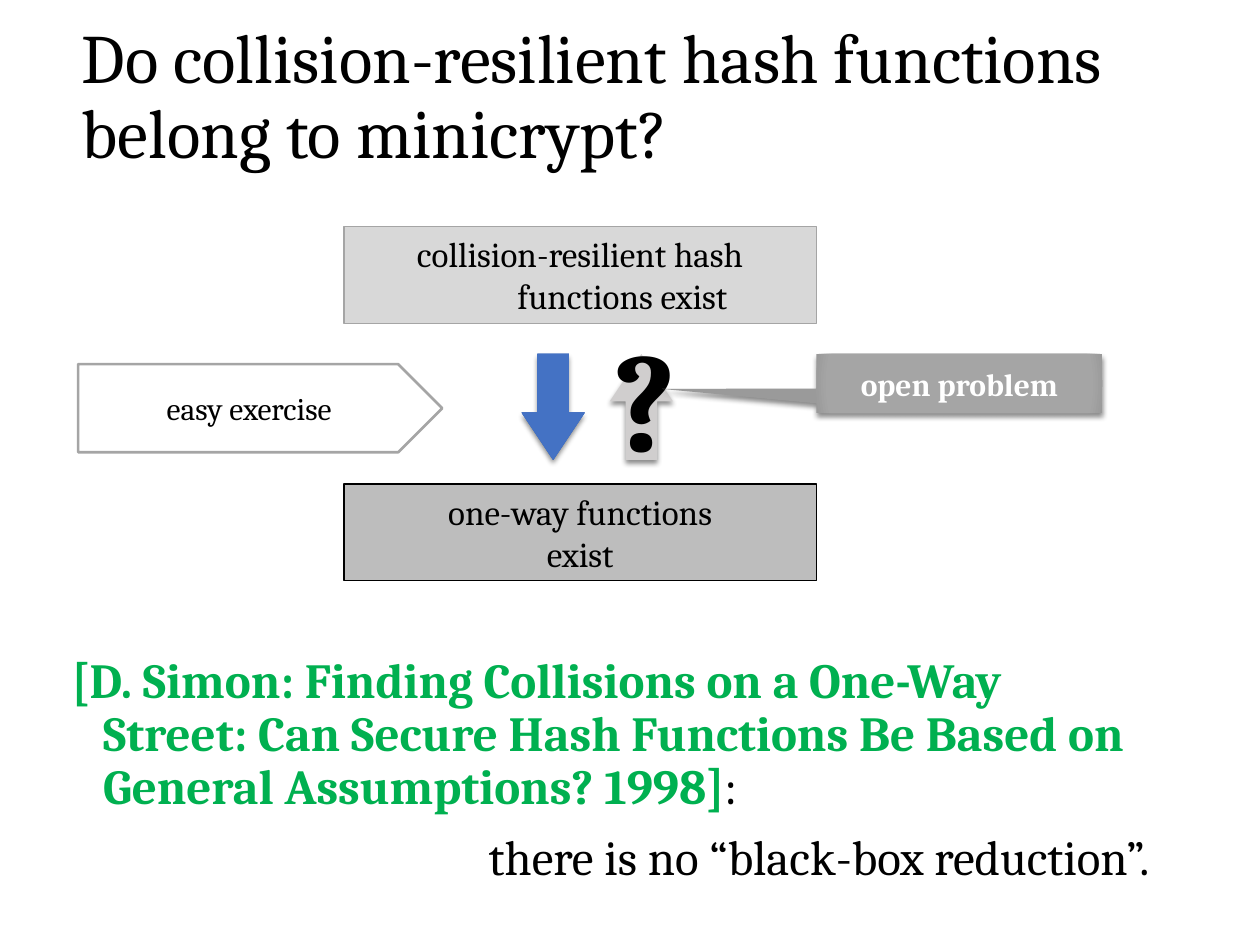
from lxml.etree import SubElement
from pptx import Presentation
from pptx.dml.color import RGBColor
from pptx.enum.shapes import MSO_SHAPE
from pptx.enum.text import MSO_ANCHOR, PP_ALIGN
from pptx.oxml import parse_xml
from pptx.oxml.ns import nsdecls, qn
from pptx.util import Inches, Pt

BLACK, WHITE, GRAY = "000000", "FFFFFF", "A5A5A5"
BLUE, GREEN = "4472C4", "00B050"


def color(value):
    return RGBColor.from_string(value)


class Deck:
    font = "Cambria"

    def __init__(self, width, height):
        self.prs = Presentation()
        self.prs.slide_width = Inches(width)
        self.prs.slide_height = Inches(height)
        self.s = self.prs.slides.add_slide(self.prs.slide_layouts[6])

    def label(self, sp, paragraphs, size, align=PP_ALIGN.CENTER, anchor=MSO_ANCHOR.TOP,
              hang=0, spacing=None, before=0):
        tf = sp.text_frame
        tf.word_wrap = True
        tf.vertical_anchor = anchor
        for i, runs in enumerate(paragraphs):
            p = tf.add_paragraph() if i else tf.paragraphs[0]
            p.alignment = align
            if spacing:
                p.line_spacing = spacing
            p.space_before = Pt(before if i else 0)
            if hang:
                pPr = p._p.get_or_add_pPr()
                pPr.set("marL", str(Inches(hang)))
                pPr.set("indent", str(-Inches(hang)))
            for text, ink, bold in runs:
                r = p.add_run()
                r.text = text
                r.font.name = self.font
                r.font.size = Pt(size)
                r.font.bold = bold
                r.font.color.rgb = color(ink)
        return tf

    def text(self, box, paragraphs, size, **style):
        sp = self.s.shapes.add_textbox(*map(Inches, box))
        return self.label(sp, paragraphs, size, **style)

    def shape(self, kind, box, fill, line=None, width=0.79, adjust=(), rotation=0):
        sp = self.s.shapes.add_shape(kind, *map(Inches, box))
        sp.shadow.inherit = False
        sp.rotation = rotation
        for i, value in enumerate(adjust):
            sp.adjustments[i] = value
        sp.fill.solid()
        sp.fill.fore_color.rgb = color(fill)
        if line:
            sp.line.color.rgb = color(line)
            sp.line.width = Pt(width)
        else:
            sp.line.fill.background()
        return sp

    def raised(self, kind, box, fill, edge=None, **style):
        sp = self.shape(kind, box, fill, **style)
        spPr = sp._element.spPr
        if edge:
            stops = "".join(
                f'<a:gs pos="{pos}"><a:srgbClr val="{c}"/></a:gs>'
                for pos, c in ((0, fill), (90000, fill), (100000, edge)))
            gradient = parse_xml(
                f'<a:gradFill {nsdecls("a")}><a:gsLst>{stops}</a:gsLst><a:path path="circle">'
                '<a:fillToRect l="100000" t="100000" r="100000" b="100000"/>'
                '</a:path></a:gradFill>')
            spPr.replace(spPr.find(qn("a:solidFill")), gradient)
        shadow = SubElement(spPr.find(qn("a:effectLst")), qn("a:outerShdw"),
                            blurRad=str(Pt(3)), dist=str(Pt(2)), dir="5400000",
                            algn="ctr", rotWithShape="0")
        ink = SubElement(shadow, qn("a:srgbClr"), val=BLACK)
        SubElement(ink, qn("a:alpha"), val="45000")
        return sp


def main():
    d = Deck(10, 7.5)
    middle = MSO_ANCHOR.MIDDLE
    d.text((0.55, 0.16, 9.22, 1.25),
           [[("Do collision-resilient hash functions belong to minicrypt?", BLACK, False)]],
           39.6, align=PP_ALIGN.LEFT, anchor=middle, spacing=0.9)
    tf = d.text((0.47, 5.16, 8.75, 2.19),
                [[("[D. Simon: Finding Collisions on a One-Way Street: Can Secure Hash "
                   "Functions Be Based on General Assumptions? 1998]", GREEN, True),
                  (":", BLACK, False)],
                 [("there is no “black-box reduction”.", BLACK, False)]],
                28, align=PP_ALIGN.LEFT, hang=0.25, spacing=0.9, before=10)
    tf.paragraphs[1].alignment = PP_ALIGN.RIGHT

    for top, fill, line, lines in (
            (1.8, "D8D8D8", GRAY, ["collision-resilient hash functions exist"]),
            (3.84, "BDBDBD", BLACK, ["one-way functions", "exist"])):
        sp = d.shape(MSO_SHAPE.RECTANGLE, (2.73, top, 3.75, 0.77), fill, line)
        d.label(sp, [[(text, BLACK, False)] for text in lines], 20, hang=0.67)

    for left, rotation, fill, edge in ((3.97, 90, BLUE, "3F6AB7"), (4.67, 270, "D0CECE", None)):
        d.raised(MSO_SHAPE.RIGHT_ARROW, (left, 2.98, 0.84, 0.5), fill, edge,
                 adjust=(0.5, 0.75), rotation=rotation)
    d.text((4.69, 2.42, 0.86, 1.45), [[("?", BLACK, True)]], 80)

    callout = d.raised(MSO_SHAPE.RECTANGULAR_CALLOUT, (6.48, 2.81, 2.27, 0.47), GRAY, "9A9A9A",
                       adjust=(-1.04, 0.09))
    d.label(callout, [[("open problem", WHITE, True)]], 18, anchor=middle)
    exercise = d.shape(MSO_SHAPE.PENTAGON, (0.62, 2.89, 2.89, 0.7), WHITE, GRAY, 1.5)
    d.label(exercise, [[("easy exercise", BLACK, False)]], 18, anchor=middle)
    d.prs.save("out.pptx")


if __name__ == "__main__":
    main()
